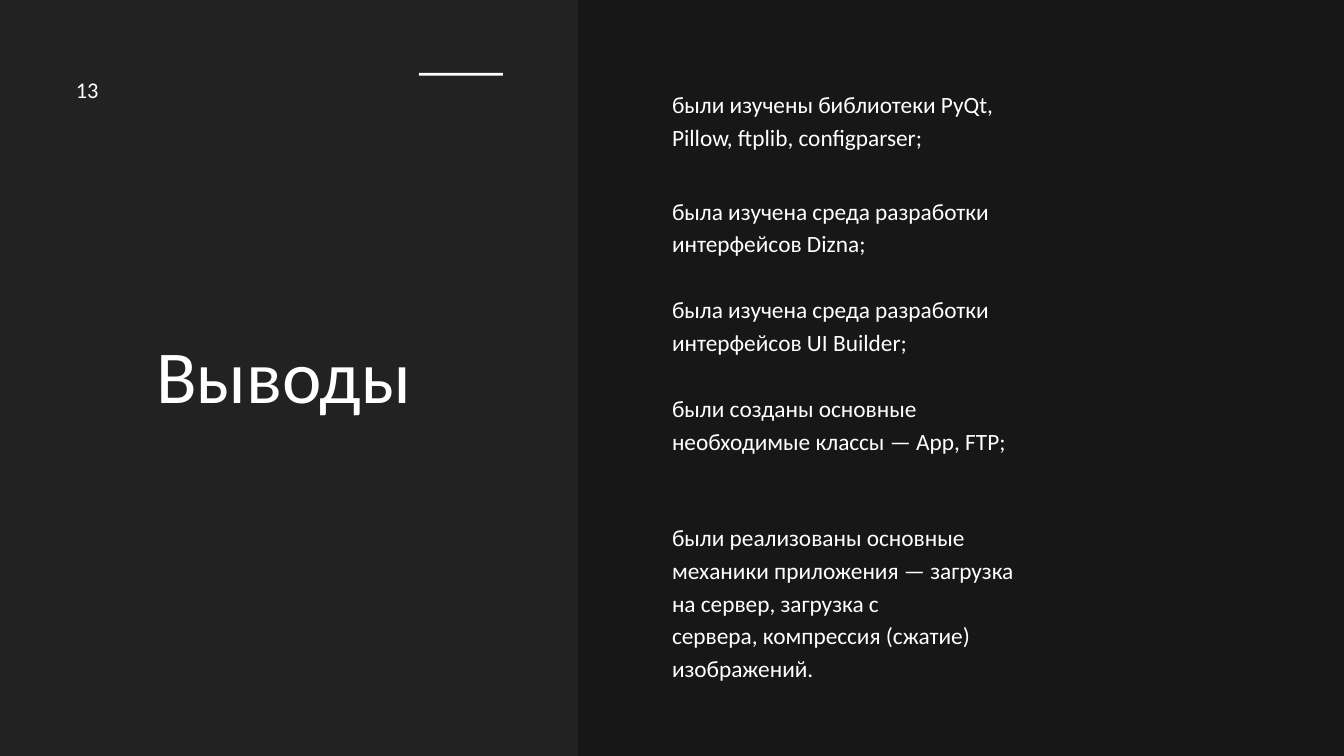
"""Build the conclusions slide: a title panel and a column of findings."""
import pptx
import pptx.dml.color
import pptx.enum.shapes
import pptx.enum.text
import pptx.oxml.ns
import pptx.util
from lxml import etree
from pptx.util import Inches

BACKGROUND = pptx.dml.color.RGBColor(0x17, 0x17, 0x17)
WHITE = pptx.dml.color.RGBColor(0xFF, 0xFF, 0xFF)
FONT = "Calibri"
FINDINGS = [
    (1.27, 0.97, "были изучены библиотеки PyQt, Pillow, ftplib, configparser;"),
    (2.86, 0.97, "была изучена среда разработки интерфейсов Dizna;"),
    (4.33, 0.97, "была изучена среда разработки интерфейсов UI Builder;"),
    (5.8, 1.46, "были созданы основные необходимые классы — App, FTP;"),
    (7.72, 2.43, "были реализованы основные механики приложения — загрузка на сервер, загрузка с\n"
                 "сервера, компрессия (сжатие) изображений."),
]


def add_rect(slide, left, top, width, height, alpha=None, rotation=0):
    sp = slide.shapes.add_shape(pptx.enum.shapes.MSO_SHAPE.RECTANGLE,
                                Inches(left), Inches(top), Inches(width), Inches(height))
    sp.shadow.inherit = False
    sp.rotation = rotation
    sp.fill.solid()
    sp.fill.fore_color.rgb = WHITE
    sp.line.fill.background()
    if alpha is not None:
        color = sp.fill._xPr.find(".//" + pptx.oxml.ns.qn("a:srgbClr"))
        etree.SubElement(color, pptx.oxml.ns.qn("a:alpha"), val=str(alpha * 1000))


def add_text(slide, text, left, top, width, height, size=25, spacing=35,
             align=pptx.enum.text.PP_ALIGN.LEFT):
    box = slide.shapes.add_textbox(Inches(left), Inches(top), Inches(width), Inches(height))
    tf = box.text_frame
    tf.word_wrap = True
    tf.auto_size = pptx.enum.text.MSO_AUTO_SIZE.SHAPE_TO_FIT_TEXT
    tf.margin_left = tf.margin_top = tf.margin_right = tf.margin_bottom = 0
    tf.text = text
    for p in tf.paragraphs:
        p.alignment = align
        p.line_spacing = pptx.util.Pt(spacing)
        for r in p.runs:
            r.font.name = FONT
            r.font.size = pptx.util.Pt(size)
            r.font.color.rgb = WHITE


def main():
    prs = pptx.Presentation()
    prs.slide_width, prs.slide_height = Inches(20), Inches(11.25)
    slide = prs.slides.add_slide(prs.slide_layouts[6])
    slide.background.fill.solid()
    slide.background.fill.fore_color.rgb = BACKGROUND

    add_rect(slide, 0, 0, 8.6, 11.25, alpha=5)
    add_text(slide, "Выводы", 0.96, 5.14, 6.52, 1.09, size=80, spacing=78.4,
             align=pptx.enum.text.PP_ALIGN.CENTER)
    add_text(slide, "13", 1.13, 1.07, 1.67, 0.47, size=24, spacing=33.6)
    add_rect(slide, 6.84, 0.48, 0.04, 1.25, rotation=270)
    for top, height, text in FINDINGS:
        add_text(slide, text, 10, top, 5.22, height)

    prs.save("out.pptx")


if __name__ == "__main__":
    main()
